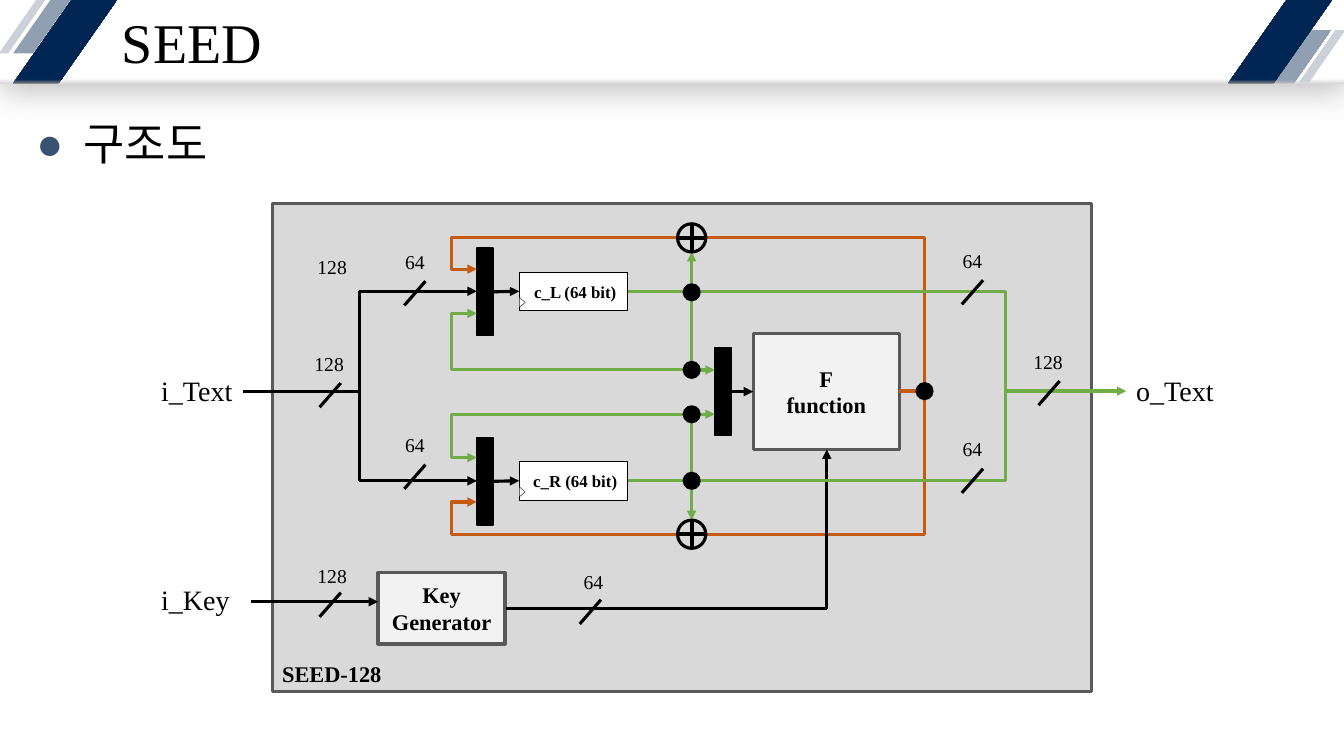
"""Build the SEED-128 block diagram slide."""
from dataclasses import dataclass

from lxml.etree import SubElement
from pptx import Presentation
from pptx.dml.color import RGBColor
from pptx.enum.shapes import MSO_CONNECTOR as Link, MSO_SHAPE as Shape
from pptx.enum.text import MSO_ANCHOR as Anchor, MSO_AUTO_SIZE as AutoSize, PP_ALIGN as Align
from pptx.oxml.ns import qn
from pptx.util import Inches, Pt


@dataclass(frozen=True)
class Theme:
    """Colours, font, type sizes and line widths."""
    font: str = "Times New Roman"
    black: str = "000000"
    white: str = "FFFFFF"
    navy: str = "022653"
    slate: str = "909FB1"
    mist: str = "CAD1D9"
    bullet: str = "385271"
    panel: str = "D9D9D9"
    block: str = "F2F2F2"
    border: str = "595959"
    state: str = "70AD47"
    feedback: str = "C55A11"
    shade: str = "767171"
    title: int = 40
    body: int = 32
    port: int = 20
    unit: int = 16
    bits: int = 14
    register: int = 12
    wire: float = 2.25
    cross: float = 3
    hair: float = 0.25


THEME = Theme()
TITLE, TOPIC, FRAME = "SEED", "구조도", "SEED-128"
LEFT, MID, RIGHT = 2.89, 3.88, 4.77
XOR_TOP, XOR_BOTTOM = 2.36, 5.3
TAP, DOT, XOR = 6.86, 0.18, 0.28

BAR = ((0, 0, 13.33, 0.83), THEME.white, "D9D9D9", 0.06)
STRIPES = [
    ((0.13, 0, 0.57, 0.53), 0.7, THEME.slate, None, 0),
    ((0.13, 0, 1.03, 0.83), 0.7, THEME.navy, "808080", 0.05),
    ((-0.01, 0, 0.46, 0.53), 0.8, THEME.mist, None, 0),
    ((12.63, 0.3, 0.57, 0.53), 0.7, THEME.slate, "BFBFBF", 0.07),
    ((12.18, 0, 1.03, 0.83), 0.7, THEME.navy, "808080", 0.05),
    ((12.88, 0.3, 0.46, 0.53), 0.8, THEME.mist, "D9D9D9", 0.06),
]
UNITS = {"F": ((7.47, 3.31, 1.45, 1.15), ["F", "function"]),
         "key": ((3.75, 5.68, 1.26, 0.71), ["Key", "Generator"])}
REGISTERS = {"c_L": LEFT, "c_R": RIGHT}
MUXES = {"mux_L": (4.73, LEFT), "mux_R": (4.73, RIGHT), "mux_F": (7.09, MID)}
LINKS = [("mux_L", "c_L"), ("mux_R", "c_R"), ("mux_F", "F")]
PORTS = [("i_Text", 1.5, 3.66, 0.91), ("i_Key", 1.5, 5.73, 0.91), ("o_Text", 11.17, 3.66, 1.01)]
WIRES = [
    (THEME.feedback, (8.92, MID), (4.73, 2.67), [9.17, XOR_TOP, 4.48], True),
    (THEME.feedback, (8.92, MID), (4.73, 4.98), [9.17, XOR_BOTTOM, 4.48], True),
    (THEME.black, (2.49, 5.97), (3.75, 5.97), None, True),
    (THEME.black, (2.41, MID), (4.73, LEFT), [3.57], True),
    (THEME.black, (2.41, MID), (4.73, RIGHT), [3.57], True),
    (THEME.black, (5.02, 6.04), (8.2, 4.46), [], True),
    (THEME.state, (6.23, LEFT), (7.09, 3.67), [TAP], True),
    (THEME.state, (6.23, RIGHT), (7.09, 4.11), [TAP], True),
    (THEME.state, (TAP, 2.81), (TAP, 2.5), None, True),
    (THEME.state, (TAP, 4.86), (TAP, 5.16), None, True),
    (THEME.state, (6.77, 3.67), (4.73, 3.11), [4.48], True),
    (THEME.state, (6.77, 4.11), (4.73, 4.54), [4.48], True),
    (THEME.state, (6.23, RIGHT), (11.17, MID), [9.97], True),
    (THEME.state, (6.23, LEFT), (9.96, MID), [9.97], False),
]
JUNCTIONS = [(9.17, MID), (TAP, 2.9), (TAP, 3.67), (TAP, 4.11), (TAP, RIGHT)]
BUSES = [
    ("128", (3.05, 2.48), None),
    ("128", (3.02, 3.44), (3.17, 3.8)),
    ("128", (3.05, 5.55), (3.17, 5.88)),
    ("128", (10.15, 3.42), (10.3, 3.78)),
    ("64", (5.69, 5.6), (5.75, 5.95)),
    ("64", (3.92, 2.43), (4.01, 2.79)),
    ("64", (3.92, 4.25), (4.01, 4.61)),
    ("64", (9.45, 2.42), (9.54, 2.78)),
    ("64", (9.45, 4.29), (9.54, 4.65)),
]


def rgb(code):
    """Turn a hex code into a colour."""
    return RGBColor.from_string(code)


def write(frame, lines, size, bold=False, align=Align.LEFT, anchor=Anchor.TOP, wrap=True):
    """Write one paragraph per line into a text frame."""
    frame.word_wrap, frame.vertical_anchor = wrap, anchor
    frame.auto_size = AutoSize.NONE
    for index, line in enumerate(lines):
        paragraph = frame.add_paragraph() if index else frame.paragraphs[0]
        paragraph.alignment = align
        run = paragraph.add_run()
        run.text = line
        run.font.name, run.font.size, run.font.bold = THEME.font, Pt(size), bold
        run.font.color.rgb = rgb(THEME.black)


def place(holder, box):
    """Move a placeholder to a box in inches."""
    holder.left, holder.top, holder.width, holder.height = map(Inches, box)


def draw(shapes, kind, box, fill=None, line=None, width=THEME.wire, edge=None, stop=0):
    """Draw a preset shape, with an optional gradient edge at its foot."""
    item = shapes.add_shape(kind, *map(Inches, box))
    item.shadow.inherit = False
    if edge:
        item.fill.gradient()
        item.fill.gradient_angle = 90
        for mark, code, position in zip(item.fill.gradient_stops, (edge, fill), (0, stop)):
            mark.color.rgb, mark.position = rgb(code), position
    elif fill:
        item.fill.solid()
        item.fill.fore_color.rgb = rgb(fill)
    else:
        item.fill.background()
    if line:
        item.line.color.rgb, item.line.width = rgb(line), Pt(width)
    else:
        item.line.fill.background()
    return item


def connect(shapes, color, start, end, bends=None, arrow=False, width=THEME.wire):
    """Draw a wire; bends alternate between x and y positions."""
    kind = Link.STRAIGHT if bends is None else Link.ELBOW
    wire = shapes.add_connector(kind, *map(Inches, (*start, *end)))
    wire.line.color.rgb, wire.line.width = rgb(color), Pt(width)
    props = wire.element.spPr
    if bends is not None:
        geometry = props.find(qn("a:prstGeom"))
        geometry.set("prst", f"bentConnector{len(bends) + 2}")
        for index, bend in enumerate(bends):
            axis = index % 2
            ratio = (bend - start[axis]) / (end[axis] - start[axis])
            SubElement(geometry.find(qn("a:avLst")), qn("a:gd"),
                       name=f"adj{index + 1}", fmla=f"val {round(ratio * 100000)}")
    if arrow:
        SubElement(props.find(qn("a:ln")), qn("a:tailEnd"), type="triangle")
    SubElement(props, qn("a:effectLst"))
    return wire


def add_header(slide):
    """Draw the title bar with its stripes and fill the two placeholders."""
    shapes = slide.shapes
    box, fill, edge, stop = BAR
    bar = draw(shapes, Shape.RECTANGLE, box, fill, edge=edge, stop=stop)
    shadow = SubElement(bar.element.spPr.find(qn("a:effectLst")), qn("a:outerShdw"),
                        blurRad=str(Pt(24)), dist=str(Pt(3)), dir="4800000", rotWithShape="0")
    shade = SubElement(shadow, qn("a:srgbClr"), val=THEME.shade)
    SubElement(shade, qn("a:alpha"), val="50000")
    for box, slant, fill, edge, stop in STRIPES:
        stripe = draw(shapes, Shape.PARALLELOGRAM, box, fill, edge=edge, stop=stop)
        stripe.adjustments[0] = slant

    title, topic = shapes.title, slide.placeholders[1]
    shapes.element.append(title.element)
    place(title, (0.15, 0, 8.76, 0.83))
    frame = title.text_frame
    frame.margin_left = frame.margin_right = Inches(1.06)
    frame.margin_top, frame.margin_bottom = Inches(0.12), Inches(0.04)
    write(frame, [TITLE], THEME.title, anchor=Anchor.MIDDLE)
    frame.paragraphs[0].line_spacing = 0.9

    place(topic, (0.26, 1.16, 12.9, 5.59))
    write(topic.text_frame, [TOPIC], THEME.body)
    paragraph = topic.text_frame.paragraphs[0]
    paragraph.line_spacing, paragraph.space_before = 0.9, Pt(10)
    layout = paragraph._p.get_or_add_pPr()
    layout.set("marL", str(Inches(0.47)))
    layout.set("indent", str(Inches(-0.47)))
    SubElement(SubElement(layout, qn("a:buClr")), qn("a:srgbClr"), val=THEME.bullet)
    SubElement(layout, qn("a:buChar"), char="●")


def add_diagram(shapes):
    """Draw the cipher core: blocks, wires, junctions and labels."""
    panel = draw(shapes, Shape.RECTANGLE, (2.7, 2.02, 8.13, 4.84), THEME.panel, THEME.border)
    write(panel.text_frame, [FRAME], THEME.unit, True, anchor=Anchor.BOTTOM)
    blocks = {}
    for name, (box, lines) in UNITS.items():
        blocks[name] = draw(shapes, Shape.RECTANGLE, box, THEME.block, THEME.border)
        write(blocks[name].text_frame, lines, THEME.unit, True, Align.CENTER, Anchor.MIDDLE)
    for name, y in REGISTERS.items():
        blocks[name] = draw(shapes, Shape.RECTANGLE, (5.15, y - 0.19, 1.07, 0.38),
                            THEME.white, THEME.black, THEME.hair)
        write(blocks[name].text_frame, [f" {name} (64 bit)"], THEME.register, True,
              Align.CENTER, Anchor.MIDDLE, False)
        clock = draw(shapes, Shape.ISOSCELES_TRIANGLE, (5.13, y + 0.08, 0.1, 0.06),
                     THEME.white, THEME.black, THEME.hair)
        clock.rotation = 90
    for name, (x, y) in MUXES.items():
        blocks[name] = draw(shapes, Shape.RECTANGLE, (x, y - 0.43, 0.16, 0.87),
                            THEME.black, THEME.black, 1)

    for wire in WIRES:
        connect(shapes, *wire)
    for source, target in LINKS:
        link = connect(shapes, THEME.black, (0, 0), (1, 1), arrow=True)
        link.begin_connect(blocks[source], 3)
        link.end_connect(blocks[target], 1)
    for y in (XOR_TOP, XOR_BOTTOM):
        r = XOR / 2
        draw(shapes, Shape.OVAL, (TAP - r, y - r, XOR, XOR), line=THEME.black)
        for dx, dy in ((r, 0), (0, r)):
            connect(shapes, THEME.black, (TAP - dx, y - dy), (TAP + dx, y + dy), width=THEME.cross)
    for x, y in JUNCTIONS:
        draw(shapes, Shape.OVAL, (x - DOT / 2, y - DOT / 2, DOT, DOT), THEME.black)

    for name, x, y, width in PORTS:
        port = shapes.add_textbox(*map(Inches, (x, y, width, 0.44)))
        write(port.text_frame, [name], THEME.port)
    for bits, (x, y), slash in BUSES:
        label = shapes.add_textbox(*map(Inches, (x, y, 0.5, 0.34)))
        write(label.text_frame, [bits], THEME.bits)
        if slash:
            left, top = slash
            connect(shapes, THEME.black, (left + 0.21, top), (left, top + 0.24))


def main():
    """Assemble and save the slide."""
    deck = Presentation()
    deck.slide_width, deck.slide_height = Inches(13.33), Inches(7.5)
    slide = deck.slides.add_slide(deck.slide_layouts[1])
    add_header(slide)
    add_diagram(slide.shapes)
    deck.save("out.pptx")


if __name__ == "__main__":
    main()
